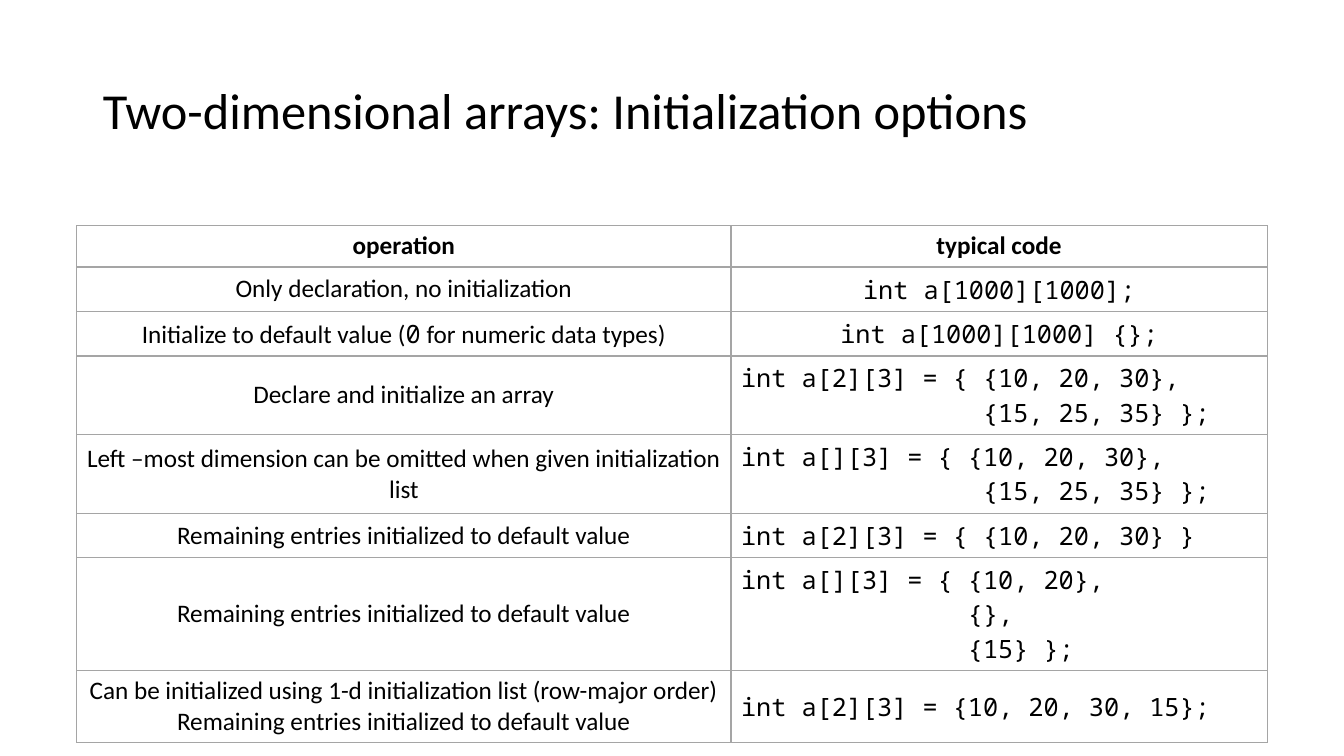
from lxml import etree
from pptx import Presentation
from pptx.dml.color import RGBColor
from pptx.enum.text import MSO_ANCHOR, PP_ALIGN
from pptx.oxml.ns import qn
from pptx.util import Inches, Pt

LEFT, CENTER = PP_ALIGN.LEFT, PP_ALIGN.CENTER
TOP, MIDDLE = MSO_ANCHOR.TOP, MSO_ANCHOR.MIDDLE
SANS, MONO = "Calibri", "Noto Sans Mono"
BLACK, GRAY = "000000", "A5A5A5"


def add_run(para, text, face, size, bold=False):
    run = para.add_run()
    run.text = text
    run.font.name = face
    run.font.size = Pt(size)
    run.font.bold = bold
    run.font.color.rgb = RGBColor.from_string(BLACK)


def add_edge(cell, side, width):
    props = cell._tc.get_or_add_tcPr()
    line = etree.SubElement(props, qn("a:ln" + side), w=str(Pt(width)))
    fill = etree.SubElement(line, qn("a:solidFill"))
    etree.SubElement(fill, qn("a:srgbClr"), val=GRAY)


deck = Presentation()
deck.slide_width = Inches(13.33)
deck.slide_height = Inches(7.5)
slide = deck.slides.add_slide(deck.slide_layouts[5])

title = slide.shapes.title
title.left, title.top = Inches(0.92), Inches(0.4)
title.width, title.height = Inches(11.5), Inches(1.45)
frame = title.text_frame
frame.word_wrap = True
frame.vertical_anchor = MIDDLE
para = frame.paragraphs[0]
para.alignment = LEFT
para.line_spacing = 0.9
add_run(para, "Two-dimensional arrays: Initialization options", SANS, 36)

rest = "Remaining entries initialized to default value"
tail = " " * 16 + "{15, 25, 35} };"
rows = [
    ([[("operation", SANS)]], ["typical code"], CENTER),
    ([[("Only declaration, no initialization", SANS)]],
     ["int a[1000][1000];"], CENTER),
    ([[("Initialize to default value (", SANS), ("0", MONO),
       (" for numeric data types)", SANS)]],
     ["int a[1000][1000] {};"], CENTER),
    ([[("Declare and initialize an array", SANS)]],
     ["int a[2][3] = { {10, 20, 30},", tail], LEFT),
    ([[("Left –most dimension can be omitted when given initialization list", SANS)]],
     ["int a[][3] = { {10, 20, 30},", tail], LEFT),
    ([[(rest, SANS)]], ["int a[2][3] = { {10, 20, 30} }"], LEFT),
    ([[(rest, SANS)]],
     ["int a[][3] = { {10, 20},", " " * 15 + "{},", " " * 15 + "{15} };"], LEFT),
    ([[("Can be initialized using 1-d initialization list (row-major order)", SANS)],
      [(rest, SANS)]],
     ["int a[2][3] = {10, 20, 30, 15};"], LEFT),
]

high = 0.41
grid = slide.shapes.add_table(
    len(rows), 2, Inches(0.76), Inches(2.24),
    Inches(11.81), Inches(high * len(rows))).table
grid.first_row = grid.horz_banding = False
for col, wide in zip(grid.columns, (6.49, 5.32)):
    col.width = Inches(wide)

for r, (label, code, align) in enumerate(rows):
    grid.rows[r].height = Inches(high)
    head = r == 0
    face = SANS if head else MONO
    lines = [[(text, face)] for text in code]
    for c, (paras, side) in enumerate([(label, CENTER), (lines, align)]):
        cell = grid.cell(r, c)
        for edge in "LRTB":
            add_edge(cell, edge, 2 if head and edge == "B" else 1)
        cell.fill.background()
        cell.vertical_anchor = TOP if head else MIDDLE
        frame = cell.text_frame
        for p, runs in enumerate(paras):
            para = frame.add_paragraph() if p else frame.paragraphs[0]
            para.alignment = side
            for text, font in runs:
                add_run(para, text, font, 18, head)

deck.save("out.pptx")
